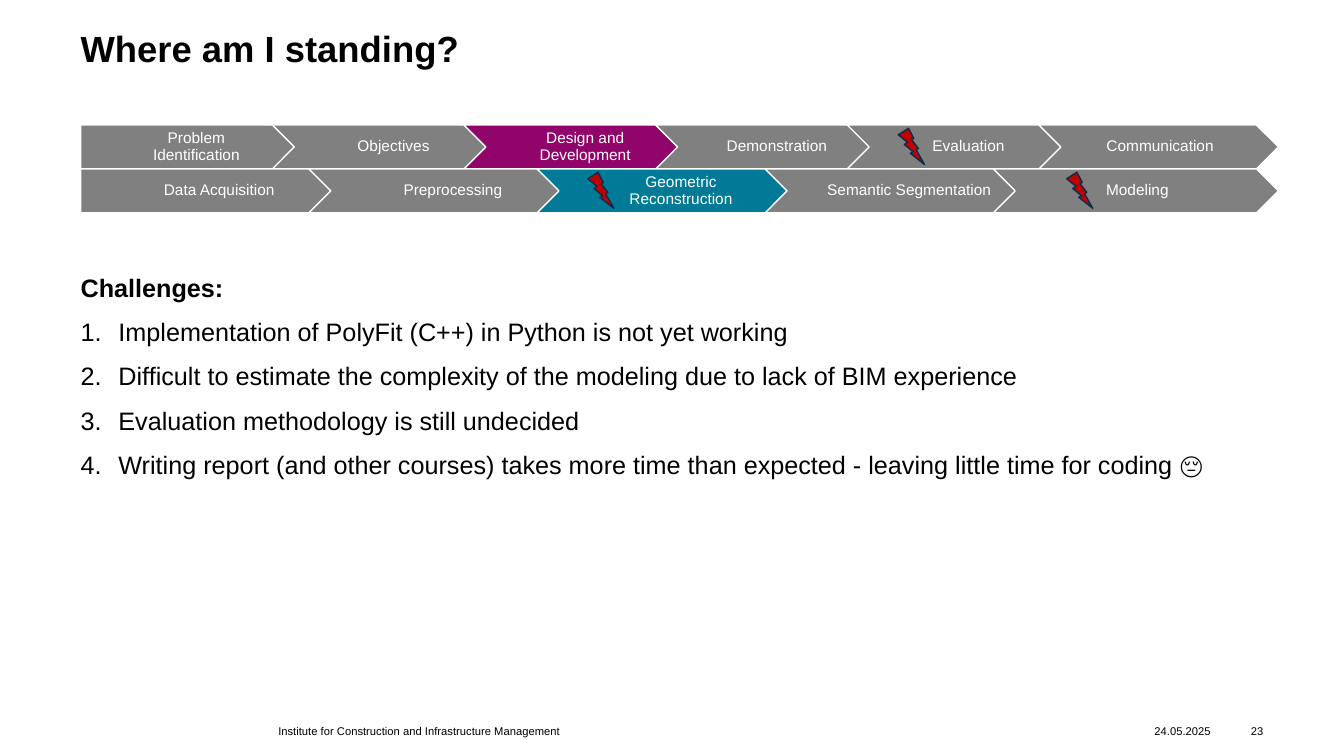
import pptx
import pptx.dml.color
import pptx.enum.shapes
import pptx.enum.text
import pptx.oxml.ns
import pptx.util
from lxml import etree

RGBColor = pptx.dml.color.RGBColor
Shapes = pptx.enum.shapes.MSO_SHAPE
Align = pptx.enum.text.PP_ALIGN
Anchor = pptx.enum.text.MSO_ANCHOR

BLACK = RGBColor(0x00, 0x00, 0x00)
WHITE = RGBColor(0xFF, 0xFF, 0xFF)
GRAY = RGBColor(0x80, 0x80, 0x80)
PURPLE = RGBColor(0x91, 0x05, 0x6A)
TEAL = RGBColor(0x00, 0x7A, 0x96)
RED = RGBColor(0xC0, 0x00, 0x00)
NAVY = RGBColor(0x08, 0x2E, 0x4D)

MARGIN = 8
CONTENT_COLUMNS = 117.3
PROCESS_COLUMNS = 118.8
PROCESS_TOP = 12.4
STEP_ROWS = 4.36
STEP_PITCH = 0.8

RESEARCH_STEPS = [
    ("Problem\vIdentification", GRAY),
    ("Objectives", GRAY),
    ("Design and\vDevelopment", PURPLE),
    ("Demonstration", GRAY),
    ("Evaluation", GRAY),
    ("Communication", GRAY),
]
MODELING_STEPS = [
    ("Data Acquisition", GRAY),
    ("Preprocessing", GRAY),
    ("Geometric\vReconstruction", TEAL),
    ("Semantic Segmentation", GRAY),
    ("Modeling", GRAY),
]
BOLTS = [(89.1, 0), (105.8, 1), (58.3, 1)]
CHALLENGES = [
    "Implementation of PolyFit (C++) in Python is not yet working",
    "Difficult to estimate the complexity of the modeling due to lack of BIM experience",
    "Evaluation methodology is still undecided",
    "Writing report (and other courses) takes more time than expected - leaving little time for coding 😔",
]


class SlideBuilder:
    """Draws styled elements on a slide with a grid of tenths of an inch."""

    font_name = "Arial"
    cell = pptx.util.Inches(0.1)

    def __init__(self, presentation):
        self.slide = presentation.slides.add_slide(presentation.slide_layouts[6])

    def place(self, *cells):
        return [round(count * self.cell) for count in cells]

    def fill_paragraph(self, paragraph, text, size, color=BLACK, bold=False):
        paragraph.text = text
        font = paragraph.font
        font.name, font.size, font.bold = self.font_name, pptx.util.Pt(size), bold
        font.color.rgb = color

    def set_frame(self, frame, anchor, insets=(0, 0, 0, 0)):
        frame.word_wrap = True
        frame.vertical_anchor = anchor
        (frame.margin_left, frame.margin_top,
         frame.margin_right, frame.margin_bottom) = self.place(*insets)

    def text(self, box, text, size, bold=False, anchor=Anchor.TOP,
             align=Align.LEFT, line_spacing=1.0):
        frame = self.slide.shapes.add_textbox(*self.place(*box)).text_frame
        self.set_frame(frame, anchor)
        paragraph = frame.paragraphs[0]
        paragraph.alignment = align
        paragraph.line_spacing = line_spacing
        self.fill_paragraph(paragraph, text, size, bold=bold)
        return frame

    def numbered(self, frame, items, size):
        indent = self.place(3.75)[0]
        for item in items:
            paragraph = frame.add_paragraph()
            paragraph.space_before = pptx.util.Pt(10)
            properties = paragraph._p.get_or_add_pPr()
            properties.set("marL", str(indent))
            properties.set("indent", str(-indent))
            number = etree.SubElement(properties, pptx.oxml.ns.qn("a:buAutoNum"))
            number.set("type", "arabicPeriod")
            self.fill_paragraph(paragraph, item, size)

    def shape(self, kind, box, fill, line):
        shape = self.slide.shapes.add_shape(kind, *self.place(*box))
        shape.shadow.inherit = False
        shape.fill.solid()
        shape.fill.fore_color.rgb = fill
        shape.line.color.rgb = line
        shape.line.width = pptx.util.Pt(1)
        return shape

    def process(self, row, steps):
        width = PROCESS_COLUMNS / (STEP_PITCH * (len(steps) - 1) + 1)
        top = PROCESS_TOP + row * STEP_ROWS
        for index, (label, fill) in enumerate(steps):
            kind = Shapes.CHEVRON if index else Shapes.PENTAGON
            left = MARGIN + index * STEP_PITCH * width
            step = self.shape(kind, (left, top, width, STEP_ROWS), fill, WHITE)
            self.set_frame(step.text_frame, Anchor.MIDDLE, (0.5, 0.3, 0.2, 0.3))
            paragraph = step.text_frame.paragraphs[0]
            paragraph.alignment = Align.CENTER
            paragraph.line_spacing = 0.9
            self.fill_paragraph(paragraph, label, 11, WHITE)

    def bolt(self, left, row):
        top = PROCESS_TOP + row * STEP_ROWS + 0.33
        self.shape(Shapes.LIGHTNING_BOLT, (left, top, 2.6, 3.6), RED, NAVY)

    def footer(self, left, width, text, align=Align.LEFT):
        self.text((left, 71.3, width, 2.4), text, 8, anchor=Anchor.MIDDLE, align=align)


def main():
    presentation = pptx.Presentation()
    presentation.slide_width = pptx.util.Inches(13.33)
    presentation.slide_height = pptx.util.Inches(7.5)
    builder = SlideBuilder(presentation)

    builder.text((MARGIN, 3.1, CONTENT_COLUMNS, 9.8), "Where am I standing?", 26,
                 bold=True, line_spacing=0.9)
    for row, steps in enumerate([RESEARCH_STEPS, MODELING_STEPS]):
        builder.process(row, steps)
    for left, row in BOLTS:
        builder.bolt(left, row)

    challenges = builder.text((MARGIN, 27, CONTENT_COLUMNS, 23.8), "Challenges:", 18, bold=True)
    builder.numbered(challenges, CHALLENGES, 18)

    builder.footer(27.6, 59.1, "Institute for Construction and Infrastructure Management")
    builder.footer(114.5, 6.7, "24.05.2025")
    builder.footer(121.8, 3.5, "23", Align.RIGHT)
    presentation.save("out.pptx")


if __name__ == "__main__":
    main()
